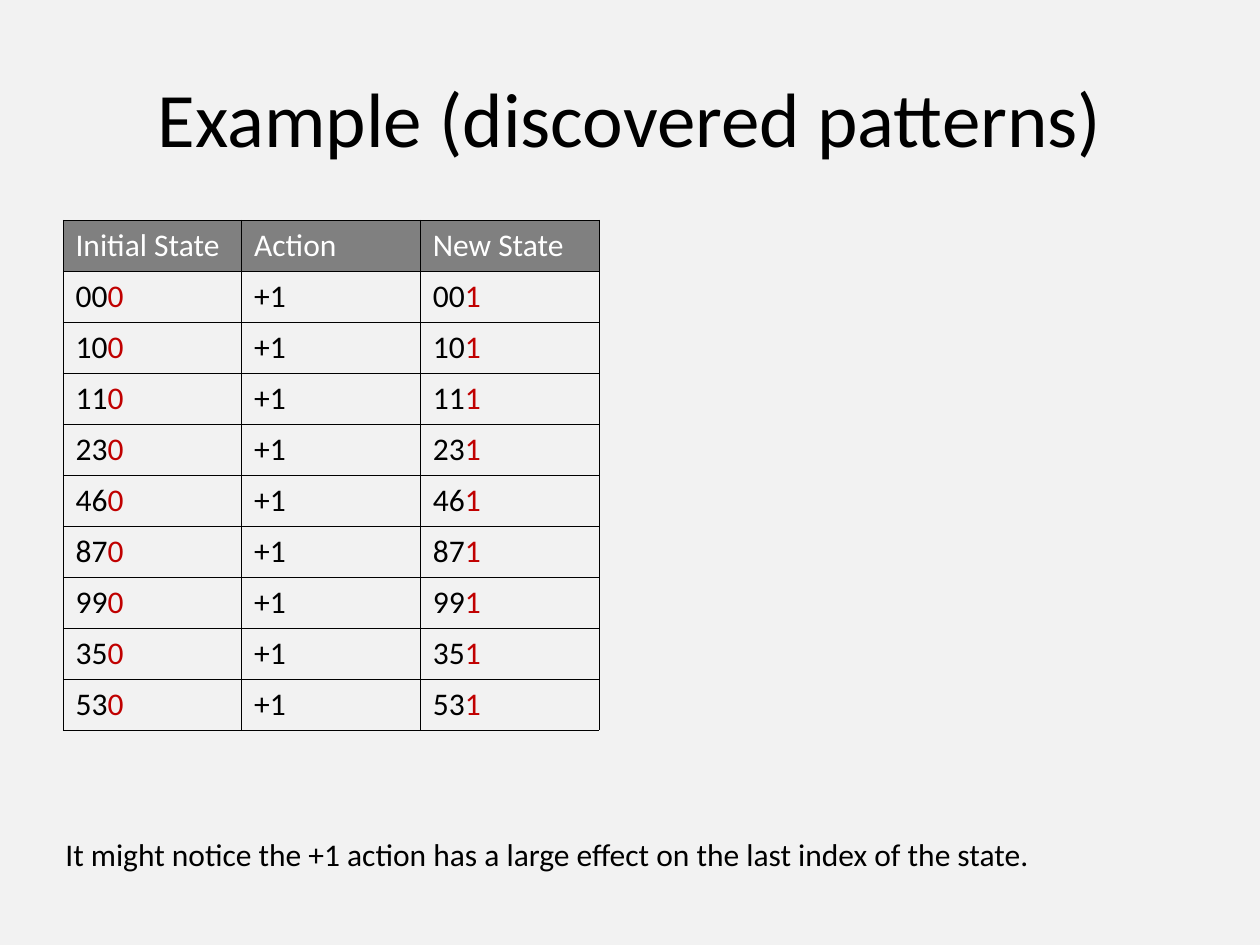
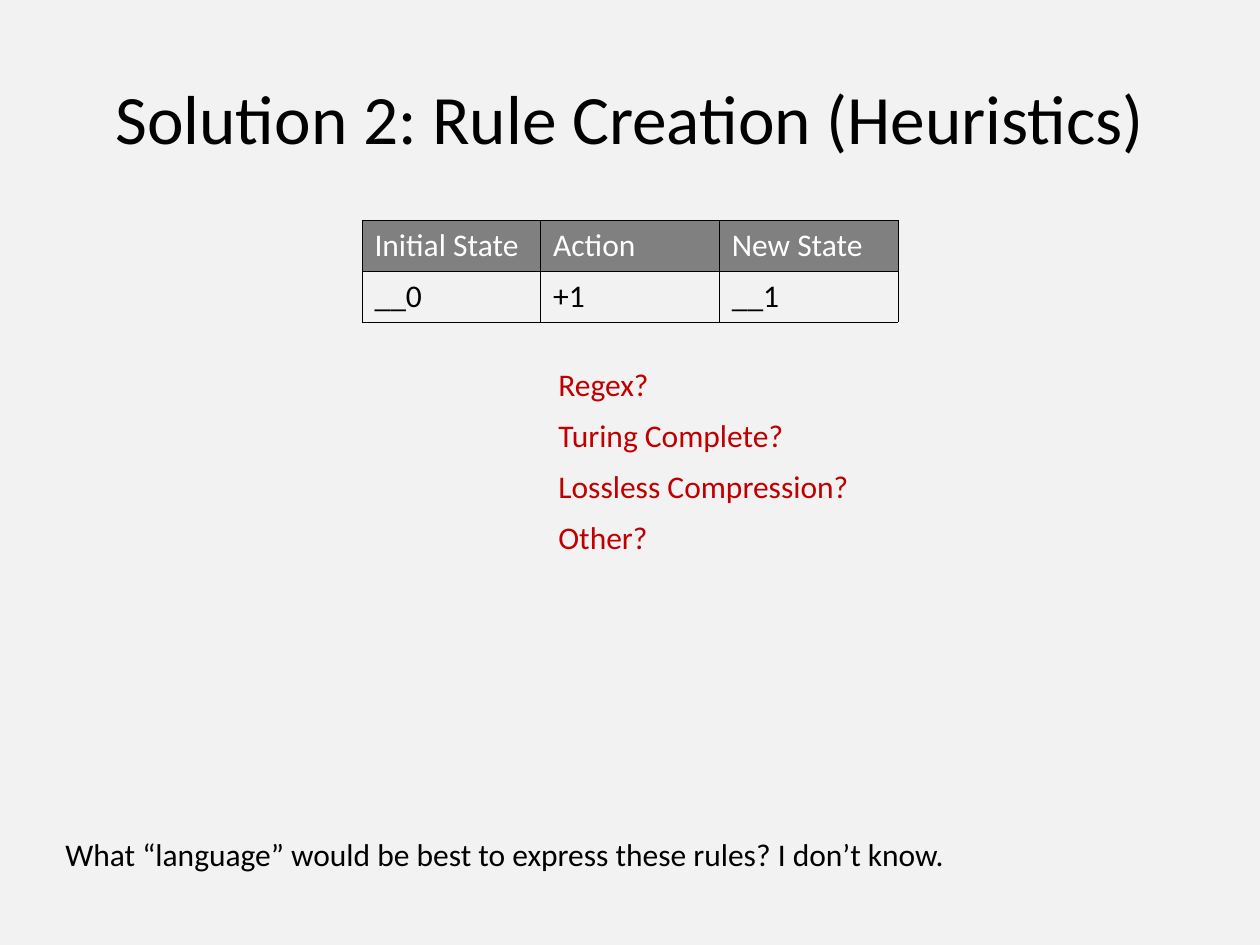
from lxml.etree import SubElement
from pptx import Presentation
from pptx.dml.color import RGBColor
from pptx.enum.text import MSO_ANCHOR, PP_ALIGN
from pptx.oxml.ns import qn
from pptx.util import Emu, Pt

HEADERS = ("Initial State", "Action", "New State")
ACTION = "+1"

PATTERNS_TITLE = "Example (discovered patterns)"
PATTERNS_NOTE = "It might notice the +1 action has a large effect on the last index of the state."
STATE_PREFIXES = ("00", "10", "11", "23", "46", "87", "99", "35", "53")

RULES_TITLE = "Solution 2: Rule Creation (Heuristics)"
RULES_NOTE = "What “language” would be best to express these rules? I don’t know."
RULE = ("__0", ACTION, "__1")
LANGUAGES = ("Regex?", "Turing Complete?", "Lossless Compression?", "Other?")

BACKGROUND = RGBColor(0xF2, 0xF2, 0xF2)
INK = RGBColor(0x00, 0x00, 0x00)
HEADER_TEXT = RGBColor(0xFF, 0xFF, 0xFF)
HEADER_FILL = RGBColor(0x80, 0x80, 0x80)
ACCENT = RGBColor(0xC0, 0x00, 0x00)
FONT = "Calibri"
BODY_SIZE = 18

SLIDE_WIDTH, SLIDE_HEIGHT = 1260, 945
MARGIN = 63
TITLE_TOP, TITLE_HEIGHT = 38, 157
TABLE_TOP, TABLE_WIDTH, ROW_HEIGHT = 220, 536, 51
NOTE_LEFT, NOTE_TOP, NOTE_WIDTH = 53, 829, 1150
LANGUAGE_LEFT, LANGUAGE_TOP, LANGUAGE_WIDTH = 546, 359, 320
LINE_HEIGHT = 51


def px(length):
    return Emu(round(length * 914400 / 126))


def style(run, color, size=BODY_SIZE):
    run.font.name = FONT
    run.font.size = Pt(size)
    run.font.bold = False
    run.font.color.rgb = color


def new_slide(prs, title, title_size, note):
    slide = prs.slides.add_slide(prs.slide_layouts.get_by_name("Title Only"))
    slide.background.fill.solid()
    slide.background.fill.fore_color.rgb = BACKGROUND
    heading = slide.shapes.title
    heading.left, heading.top = px(MARGIN), px(TITLE_TOP)
    heading.width, heading.height = px(SLIDE_WIDTH - 2 * MARGIN), px(TITLE_HEIGHT)
    frame = heading.text_frame
    frame.text = title
    frame.vertical_anchor = MSO_ANCHOR.MIDDLE
    frame.paragraphs[0].alignment = PP_ALIGN.CENTER
    style(frame.paragraphs[0].runs[0], INK, title_size)
    add_line(slide, note, INK, NOTE_LEFT, NOTE_TOP, NOTE_WIDTH)
    return slide


def add_line(slide, text, color, left, top, width):
    box = slide.shapes.add_textbox(px(left), px(top), px(width), px(LINE_HEIGHT))
    box.text_frame.word_wrap = True
    box.text_frame.text = text
    style(box.text_frame.paragraphs[0].runs[0], color)


def add_borders(cell):
    properties = cell._tc.get_or_add_tcPr()
    for side in ("a:lnL", "a:lnR", "a:lnT", "a:lnB"):
        line = SubElement(properties, qn(side), w=str(Pt(0.25)))
        fill = SubElement(line, qn("a:solidFill"))
        SubElement(fill, qn("a:srgbClr"), val=str(INK))


def add_transitions(slide, left, rows):
    """Add a state table; a cell given as a pair has its second part accented."""
    table = slide.shapes.add_table(
        len(rows) + 1, len(HEADERS), px(left), px(TABLE_TOP),
        px(TABLE_WIDTH), px(ROW_HEIGHT * (len(rows) + 1))).table
    table.first_row = table.horz_banding = False
    for r, row in enumerate((HEADERS, *rows)):
        for c, content in enumerate(row):
            cell = table.cell(r, c)
            add_borders(cell)
            if r == 0:
                cell.fill.solid()
                cell.fill.fore_color.rgb = HEADER_FILL
            else:
                cell.fill.background()
            parts = (content,) if isinstance(content, str) else content
            for part, color in zip(parts, (INK if r else HEADER_TEXT, ACCENT)):
                run = cell.text_frame.paragraphs[0].add_run()
                run.text = part
                style(run, color)


def main():
    prs = Presentation()
    prs.slide_width, prs.slide_height = px(SLIDE_WIDTH), px(SLIDE_HEIGHT)

    patterns = new_slide(prs, PATTERNS_TITLE, 44, PATTERNS_NOTE)
    add_transitions(patterns, MARGIN,
                    [((prefix, "0"), ACTION, (prefix, "1")) for prefix in STATE_PREFIXES])

    rules = new_slide(prs, RULES_TITLE, 39.6, RULES_NOTE)
    add_transitions(rules, (SLIDE_WIDTH - TABLE_WIDTH) // 2, [RULE])
    for i, language in enumerate(LANGUAGES):
        add_line(rules, language, ACCENT, LANGUAGE_LEFT,
                 LANGUAGE_TOP + i * LINE_HEIGHT, LANGUAGE_WIDTH)

    prs.save("out.pptx")


if __name__ == "__main__":
    main()
